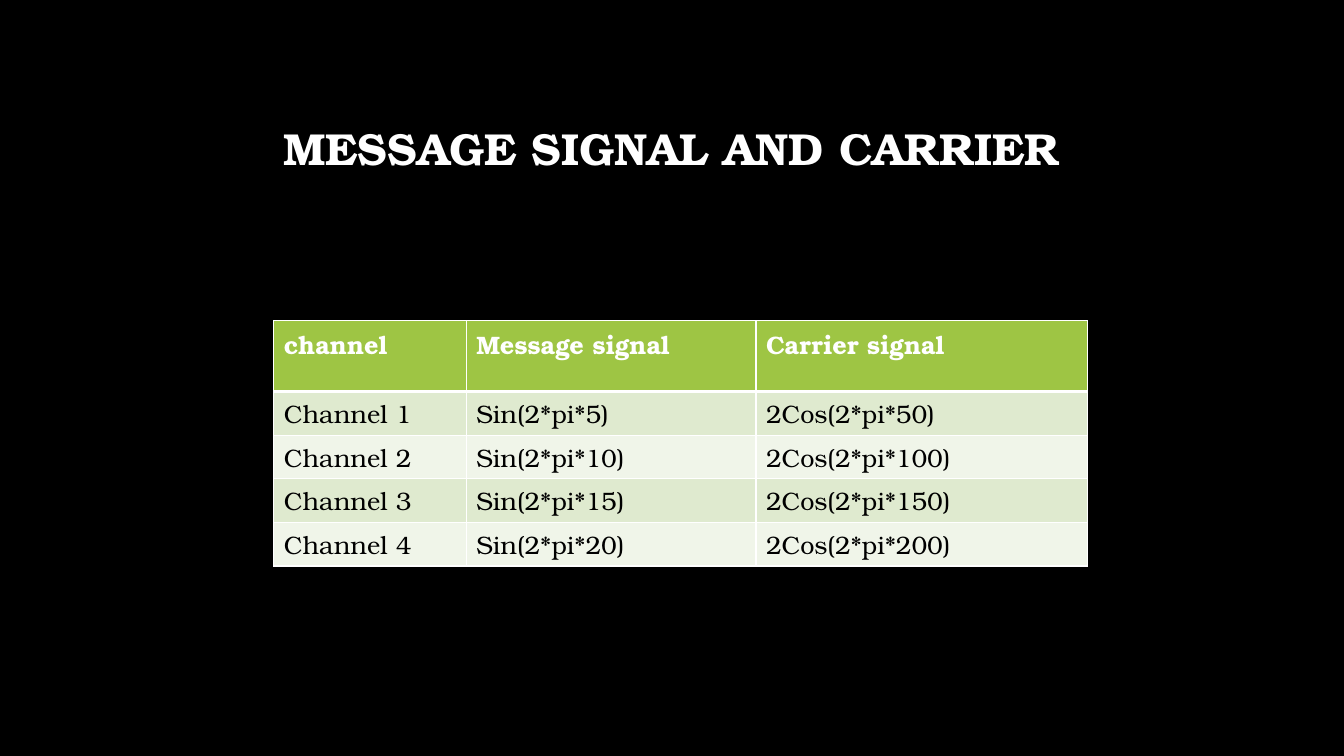
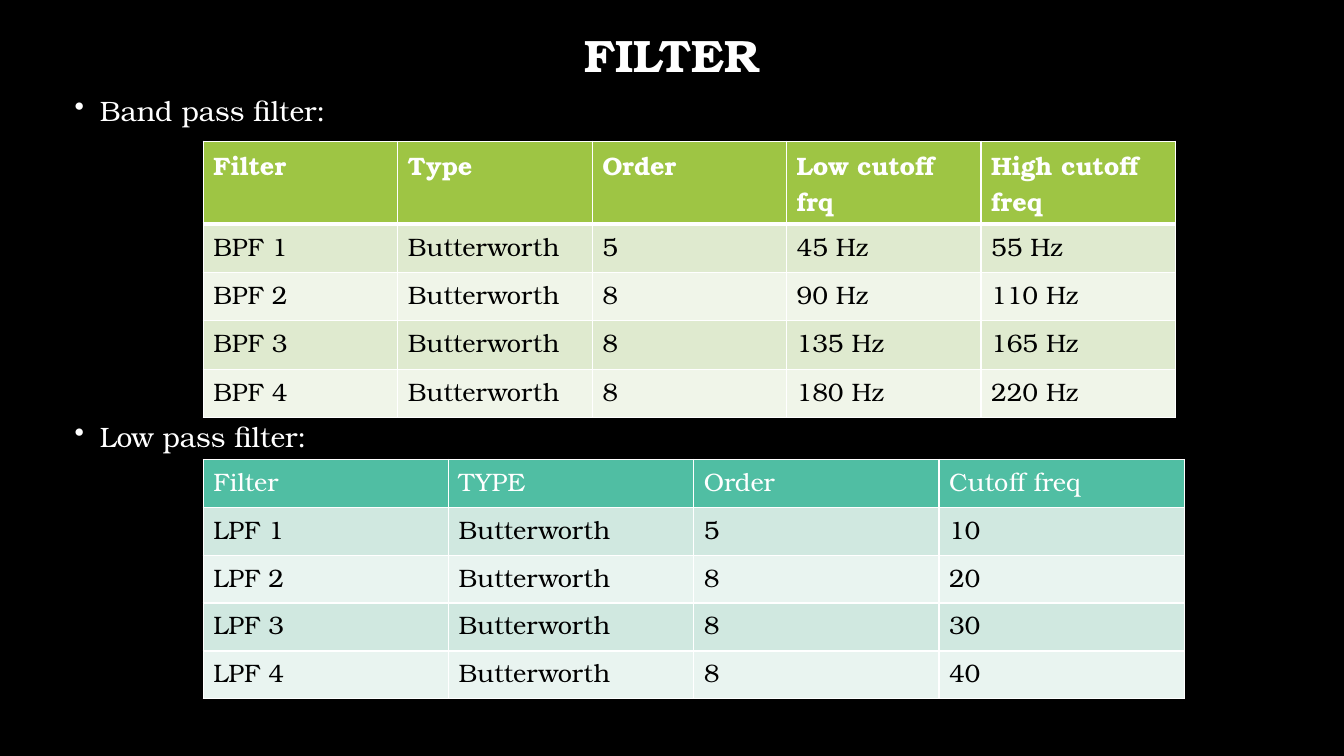
import pptx
import pptx.dml.color
import pptx.enum.text
import pptx.oxml
import pptx.oxml.ns
import pptx.util

COLORS = {
    "background": "000000",
    "light": "FFFFFF",
    "dark": "000000",
    "green": "9EC544",
    "green_odd": "DFEACF",
    "green_even": "F0F5E9",
    "teal": "50BEA3",
    "teal_odd": "D0E8E0",
    "teal_even": "E9F4F0",
}
FONT = "TeX Gyre Bonum"
GRID_COLUMNS, GRID_ROWS = 160, 90
CELL = pptx.util.Inches(1 / 12)
BORDERS = ("a:lnL", "a:lnR", "a:lnT", "a:lnB")


def grid(*counts):
    return [round(count * CELL) for count in counts]


def rgb(color):
    return pptx.dml.color.RGBColor.from_string(COLORS[color])


def write(frame, text, *, size=18, color="light", bold=False, align=None,
          spacing=None, bullet=False):
    paragraph = frame.paragraphs[0]
    paragraph.alignment = align
    paragraph.line_spacing = spacing
    run = paragraph.add_run()
    run.text = text
    run.font.name = FONT
    run.font.size = pptx.util.Pt(size)
    run.font.bold = bold
    run.font.color.rgb = rgb(color)
    if bullet:
        indent = pptx.util.Inches(0.25)
        properties = paragraph._p.get_or_add_pPr()
        properties.set("marL", str(indent))
        properties.set("indent", str(-indent))
        properties.append(pptx.oxml.parse_xml(
            f'<a:buChar {pptx.oxml.ns.nsdecls("a")} char="•"/>'))


def add_text(slide, text, place, **style):
    frame = slide.shapes.add_textbox(*grid(*place)).text_frame
    frame.word_wrap = True
    frame.vertical_anchor = pptx.enum.text.MSO_ANCHOR.MIDDLE
    write(frame, text, **style)


def add_title(slide, text, top, height, size):
    add_text(slide, text, (15, top, 130, height), size=size, bold=True,
             align=pptx.enum.text.PP_ALIGN.CENTER, spacing=0.9)


def add_bullet(slide, text, top):
    add_text(slide, text, (7.7, top, 145, 5), size=20, bullet=True)


def set_borders(cell, top=1, bottom=1):
    properties = cell._tc.get_or_add_tcPr()
    for position, (border, width) in enumerate(zip(BORDERS, (1, 1, top, bottom))):
        properties.insert(position, pptx.oxml.parse_xml(
            f'<{border} {pptx.oxml.ns.nsdecls("a")} w="{pptx.util.Pt(width)}">'
            f'<a:solidFill><a:srgbClr val="{COLORS["light"]}"/></a:solidFill>'
            f'</{border}>'))


def add_table(slide, rows, left, top, widths, header_height, row_height,
              theme="green", bold_header=True, rule=3):
    heights = [header_height] + [row_height] * (len(rows) - 1)
    table = slide.shapes.add_table(
        len(rows), len(widths), *grid(left, top, sum(widths), sum(heights))).table
    table.first_row = table.horz_banding = False
    for column, width in zip(table.columns, grid(*widths)):
        column.width = width
    for row, height in zip(table.rows, grid(*heights)):
        row.height = height
    for number, values in enumerate(rows):
        header = number == 0
        fill = theme if header else f"{theme}_{'odd' if number % 2 else 'even'}"
        for position, value in enumerate(values):
            cell = table.cell(number, position)
            cell.fill.solid()
            cell.fill.fore_color.rgb = rgb(fill)
            set_borders(cell, top=rule if number == 1 else 1,
                        bottom=rule if header else 1)
            write(cell.text_frame, value, color="light" if header else "dark",
                  bold=header and bold_header)


def add_slide(deck):
    slide = deck.slides.add_slide(deck.slide_layouts[6])
    slide.background.fill.solid()
    slide.background.fill.fore_color.rgb = rgb("background")
    return slide


def build_signals(deck):
    slide = add_slide(deck)
    add_title(slide, "MESSAGE SIGNAL AND CARRIER", 8.3, 19.4, 32)
    signals = [("channel", "Message signal", "Carrier signal")]
    signals += [(f"Channel {n}", f"Sin(2*pi*{5 * n})", f"2Cos(2*pi*{50 * n})")
                for n in range(1, 5)]
    add_table(slide, signals, 32.6, 38.2, (22.9, 34.5, 39.5), 8.4, 5.2)


def build_filters(deck):
    slide = add_slide(deck)
    add_title(slide, "FILTER", 2, 9.8, 32.4)
    orders = (5, 8, 8, 8)

    add_bullet(slide, "Band pass filter:", 10.6)
    band_pass = [("Filter", "Type", "Order", "Low cutoff frq", "High cutoff freq")]
    band_pass += [(f"BPF {n}", "Butterworth", str(order), f"{45 * n} Hz", f"{55 * n} Hz")
                  for n, order in enumerate(orders, 1)]
    add_table(slide, band_pass, 24.2, 16.8, [23.15] * 5, 9.9, 5.75)

    add_bullet(slide, "Low pass filter:", 49.4)
    low_pass = [("Filter", "TYPE", "Order", "Cutoff freq")]
    low_pass += [(f"LPF {n}", "Butterworth", str(order), str(10 * n))
                 for n, order in enumerate(orders, 1)]
    add_table(slide, low_pass, 24.2, 54.7, [29.2] * 4, 5.7, 5.7,
              theme="teal", bold_header=False, rule=1)


def main():
    deck = pptx.Presentation()
    deck.slide_width, deck.slide_height = grid(GRID_COLUMNS, GRID_ROWS)
    build_signals(deck)
    build_filters(deck)
    deck.save("out.pptx")


if __name__ == "__main__":
    main()
